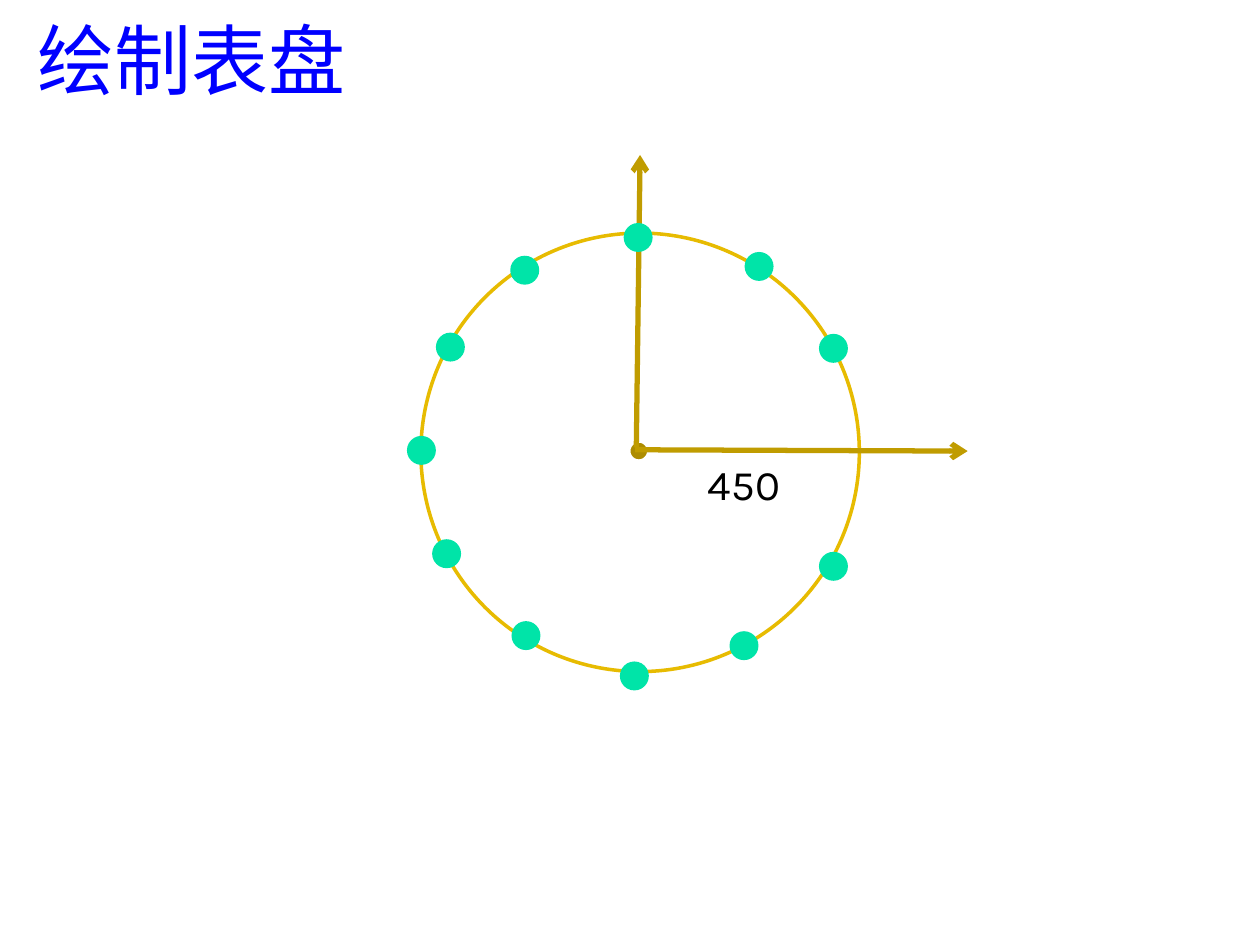
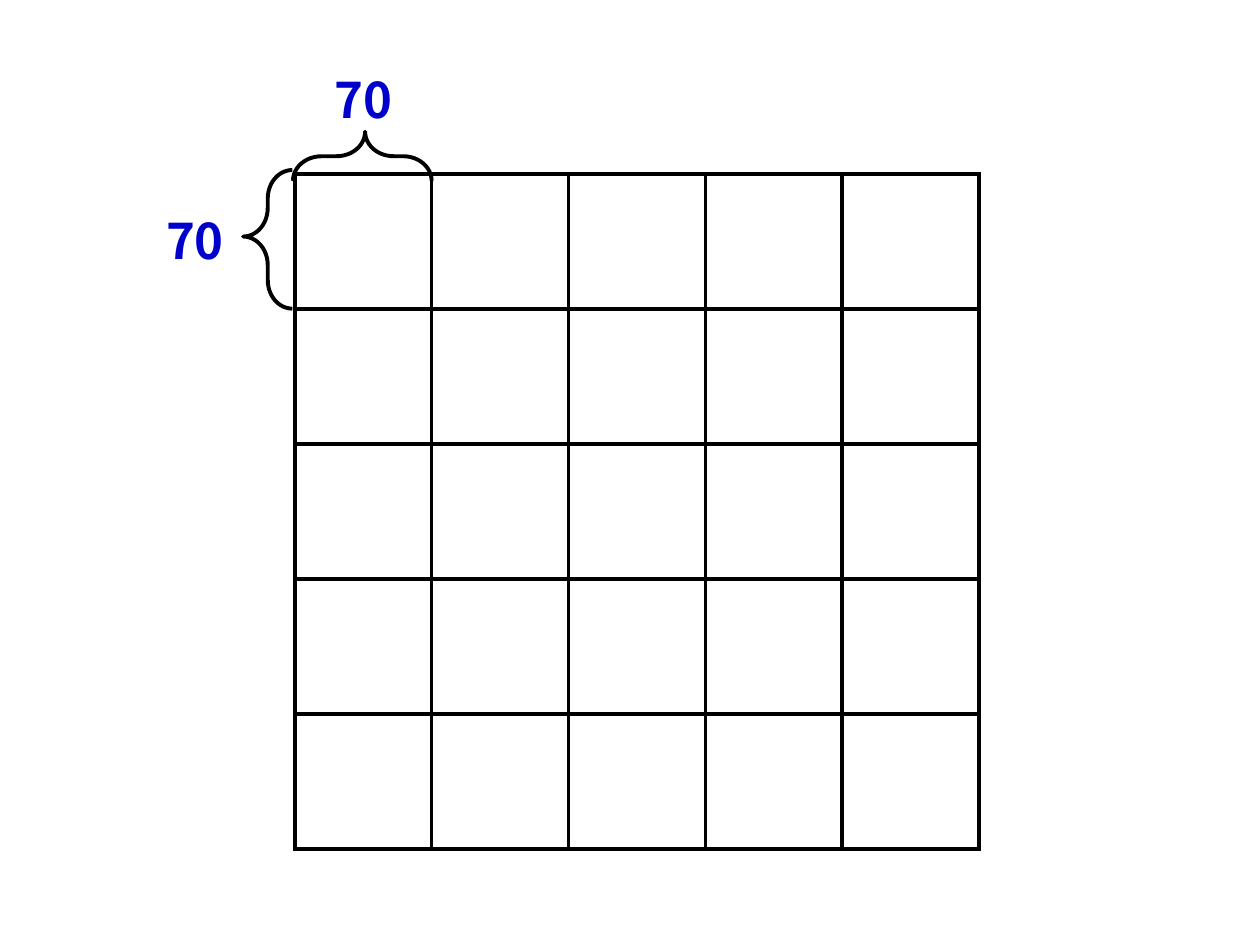
from typing import NamedTuple, Optional

from lxml.etree import SubElement
from pptx import Presentation
from pptx.dml.color import RGBColor
from pptx.enum.shapes import MSO_CONNECTOR, MSO_SHAPE
from pptx.enum.text import MSO_ANCHOR, PP_ALIGN
from pptx.oxml.ns import qn
from pptx.util import Inches, Pt

WHITE = RGBColor(0xFF, 0xFF, 0xFF)
BLACK = RGBColor(0, 0, 0)
TITLE_BLUE = RGBColor(0, 0, 0xFF)
LABEL_BLUE = RGBColor(0, 0, 0xCC)
RIM_GOLD = RGBColor(0xE7, 0xBB, 0x01)
HUB_GOLD = RGBColor(0xAD, 0x8C, 0x01)
AXIS_GOLD = RGBColor(0xC0, 0x9C, 0)
MARK_GREEN = RGBColor(0, 0xE4, 0xA8)
TITLE_FONT, RADIUS_FONT, SIZE_FONT = "Times New Roman", "Karla", "Noto Sans CJK JP"
GRID_COUNT = 5
GRID_LINE = 2.25
MARK_SIZE = 0.23


class Box(NamedTuple):
    """Left, top, width and height in inches."""
    left: float
    top: float
    width: float
    height: float

    def emu(self) -> list:
        """Return the four lengths for python-pptx."""
        return [Inches(v) for v in self]


class Point(NamedTuple):
    """A position in inches."""
    x: float
    y: float


class Axis(NamedTuple):
    """An arrow from the dial centre."""
    start: Point
    end: Point


class SizeMark(NamedTuple):
    """A brace along a cell side with its label."""
    label: Box
    brace: Box
    rotation: int


AXES = [
    Axis(Point(5.04, 3.57), Point(7.68, 3.58)),
    Axis(Point(5.05, 3.55), Point(5.08, 1.23)),
]
HOUR_MARKS = [
    Point(4.95, 1.77), Point(5.91, 2), Point(6.5, 2.65), Point(6.5, 4.38),
    Point(5.79, 5.01), Point(4.92, 5.25), Point(4.06, 4.93), Point(3.43, 4.28),
    Point(3.23, 3.46), Point(3.46, 2.64), Point(4.05, 2.03),
]
SIZE_MARKS = [
    SizeMark(Box(2.56, 0.5, 0.78, 0.57), Box(2.68, 0.69, 0.39, 1.1), 90),
    SizeMark(Box(1.22, 1.62, 0.78, 0.57), Box(1.93, 1.35, 0.39, 1.1), 0),
]


def add_text(s, box: Box, text: str, *, size: int, font: str, color: RGBColor,
             bold: bool = False, align=PP_ALIGN.LEFT, anchor=MSO_ANCHOR.TOP):
    """Add a wrapped text box holding one formatted line."""
    tf = s.shapes.add_textbox(*box.emu()).text_frame
    tf.word_wrap = True
    tf.vertical_anchor = anchor
    p = tf.paragraphs[0]
    p.alignment = align
    r = p.add_run()
    r.text = text
    r.font.size, r.font.name, r.font.bold = Pt(size), font, bold
    r.font.color.rgb = color


def add_shape(s, kind: MSO_SHAPE, box: Box, fill: Optional[RGBColor] = None,
              line: Optional[RGBColor] = None, width: float = 2):
    """Add a preset shape without shadow."""
    sp = s.shapes.add_shape(kind, *box.emu())
    sp.shadow.inherit = False
    if fill is None:
        sp.fill.background()
    else:
        sp.fill.solid()
        sp.fill.fore_color.rgb = fill
    if line is None:
        sp.line.fill.background()
    else:
        sp.line.color.rgb = line
        sp.line.width = Pt(width)
    return sp


def add_axis(s, axis: Axis) -> None:
    """Add a straight line with an open arrowhead at its end."""
    ends = [Inches(v) for v in (*axis.start, *axis.end)]
    cx = s.shapes.add_connector(MSO_CONNECTOR.STRAIGHT, *ends)
    cx.line.color.rgb = AXIS_GOLD
    cx.line.width = Pt(3)
    SubElement(cx.line._get_or_add_ln(), qn("a:tailEnd"), type="arrow")
    SubElement(cx._element.spPr, qn("a:effectLst"))


def set_borders(cell) -> None:
    """Draw black borders on every side of an unfilled cell."""
    tc_pr = cell._tc.get_or_add_tcPr()
    for side in ("a:lnL", "a:lnR", "a:lnT", "a:lnB"):
        ln = SubElement(tc_pr, qn(side), w=str(Pt(GRID_LINE)))
        fill = SubElement(ln, qn("a:solidFill"))
        SubElement(fill, qn("a:srgbClr"), val=str(BLACK))
    cell.fill.background()


def add_grid(s, box: Box) -> None:
    """Add the square table with equal rows and columns."""
    table = s.shapes.add_table(GRID_COUNT, GRID_COUNT, *box.emu()).table
    table.first_row = table.horz_banding = False
    for col in table.columns:
        col.width = Inches(box.width / GRID_COUNT)
    for row in table.rows:
        row.height = Inches(box.height / GRID_COUNT)
    for cell in table.iter_cells():
        set_borders(cell)


def add_slide(prs):
    """Add a blank white slide."""
    s = prs.slides.add_slide(prs.slide_layouts[6])
    s.background.fill.solid()
    s.background.fill.fore_color.rgb = WHITE
    return s


def build_dial(prs) -> None:
    """Build the clock face slide."""
    s = add_slide(prs)
    add_text(s, Box(0.2, 0.05, 8.52, 0.83), "绘制表盘", size=44, font=TITLE_FONT,
             color=TITLE_BLUE, anchor=MSO_ANCHOR.BOTTOM)
    add_shape(s, MSO_SHAPE.OVAL, Box(3.34, 1.85, 3.48, 3.48), WHITE, RIM_GOLD)
    add_shape(s, MSO_SHAPE.OVAL, Box(4.99, 3.5, 0.16, 0.16), HUB_GOLD, WHITE)
    for axis in AXES:
        add_axis(s, axis)
    add_text(s, Box(5.47, 3.59, 0.87, 0.5), "450", size=24, font=RADIUS_FONT,
             color=BLACK, align=PP_ALIGN.CENTER)
    for mark in HOUR_MARKS:
        add_shape(s, MSO_SHAPE.OVAL, Box(*mark, MARK_SIZE, MARK_SIZE), MARK_GREEN)


def build_grid(prs) -> None:
    """Build the slide with the measured grid."""
    s = add_slide(prs)
    add_grid(s, Box(2.34, 1.38, 5.43, 5.36))
    for mark in SIZE_MARKS:
        add_text(s, mark.label, "70", size=28, font=SIZE_FONT, color=LABEL_BLUE, bold=True)
        brace = add_shape(s, MSO_SHAPE.LEFT_BRACE, mark.brace, line=BLACK, width=GRID_LINE)
        brace.rotation = mark.rotation
        brace.adjustments[0], brace.adjustments[1] = 0.58, 0.48


def main() -> None:
    """Build and save the deck."""
    prs = Presentation()
    prs.slide_width, prs.slide_height = Inches(10), Inches(7.5)
    build_dial(prs)
    build_grid(prs)
    prs.save("out.pptx")


if __name__ == "__main__":
    main()
